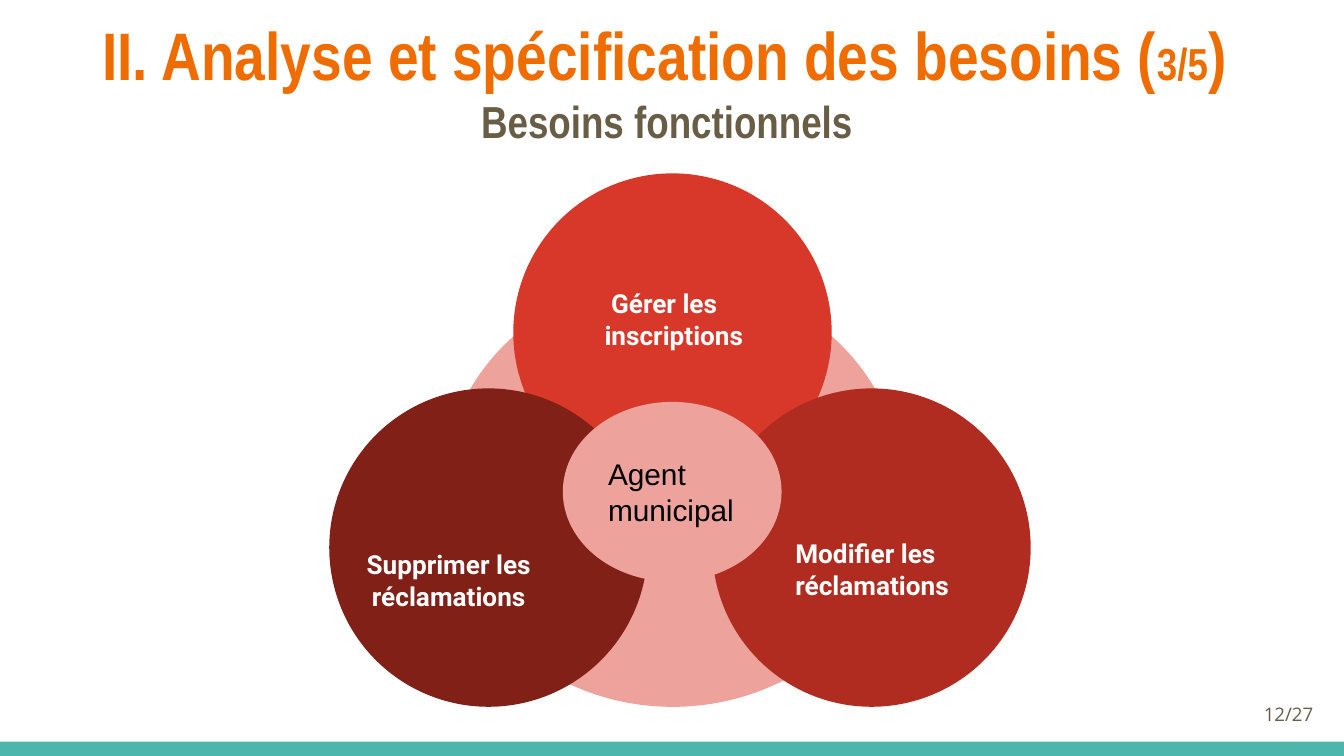
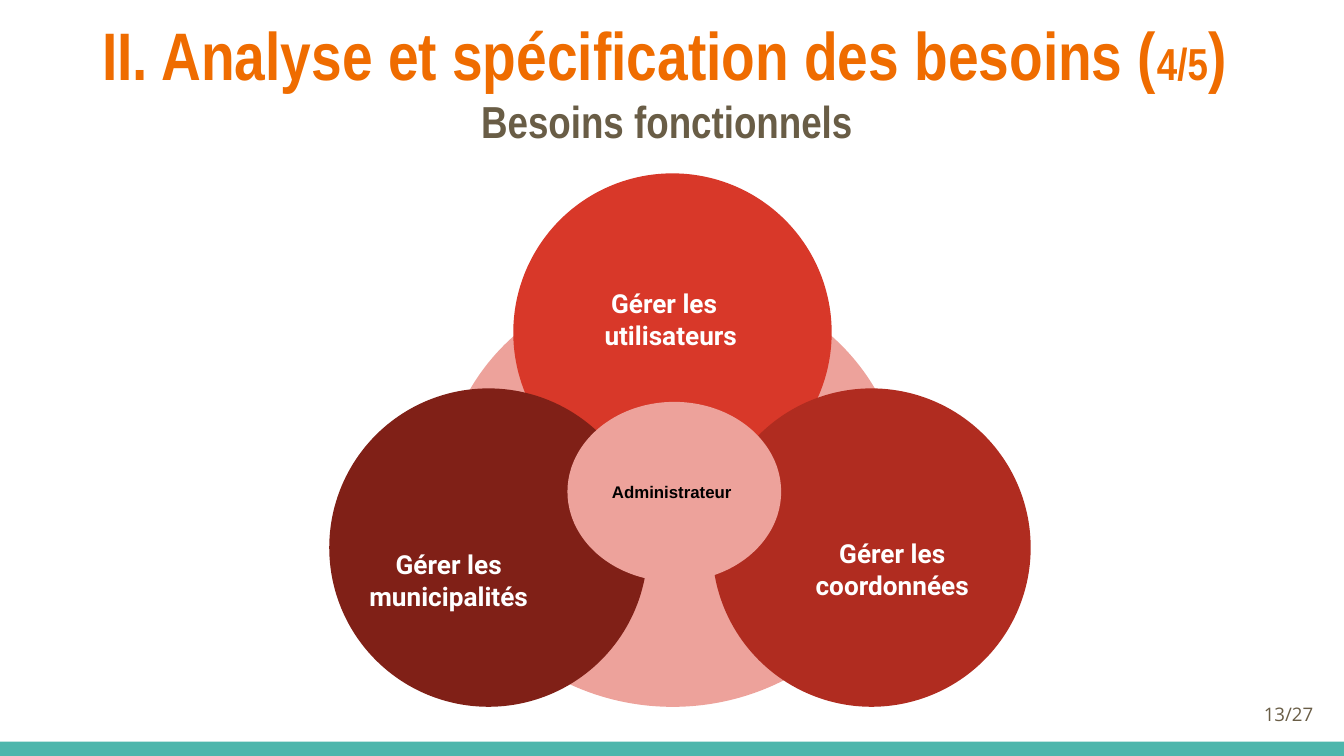
from pptx import Presentation
from pptx.dml.color import RGBColor
from pptx.enum.shapes import MSO_SHAPE
from pptx.enum.text import MSO_ANCHOR, MSO_AUTO_SIZE, PP_ALIGN
from pptx.util import Pt

ELLIPSE, RECTANGLE = MSO_SHAPE.OVAL, MSO_SHAPE.RECTANGLE
TOP, MIDDLE = MSO_ANCHOR.TOP, MSO_ANCHOR.MIDDLE
LEFT, CENTER, RIGHT = PP_ALIGN.LEFT, PP_ALIGN.CENTER, PP_ALIGN.RIGHT
NO_AUTOFIT = MSO_AUTO_SIZE.NONE

COLORS = {
    "orange": "EF6C00", "brown": "695D46", "teal": "4DB6AC",
    "pink": "EDA29B", "red": "D83829", "brick": "B02C20",
    "maroon": "802017", "white": "FFFFFF", "black": "000000",
}
WIDTH, HEIGHT = 720, 405
INSET = 7.2
DISC = 170.6
LABEL_SIZE = (118.1, 55.4)

# Disc corner, label corner and colour of each need
NEED_PLACES = [
    ((275, 92.9), (316.8, 143.3), "red"),
    ((381.6, 208.1), (419, 277.2), "brick"),
    ((176.4, 208.1), (181.4, 283), "maroon"),
]


def rgb(color):
    return RGBColor.from_string(COLORS[color])


class Deck:
    def __init__(self):
        self.prs = Presentation()
        self.prs.slide_width, self.prs.slide_height = Pt(WIDTH), Pt(HEIGHT)
        self.slide = None

    def new_slide(self):
        self.slide = self.prs.slides.add_slide(self.prs.slide_layouts[5])
        self.shape(RECTANGLE, (0, 397.4, WIDTH, HEIGHT - 397.4), "teal")

    def frame(self, shape, anchor):
        frame = shape.text_frame
        frame.word_wrap = True
        frame.auto_size = NO_AUTOFIT
        frame.vertical_anchor = anchor
        frame.margin_left = frame.margin_right = Pt(INSET)
        frame.margin_top = frame.margin_bottom = Pt(INSET)
        return frame

    def style(self, paragraph, font, color, align, size=None, bold=False):
        paragraph.alignment = align
        paragraph.font.name = font
        paragraph.font.bold = bold
        paragraph.font.color.rgb = rgb(color)
        if size:
            paragraph.font.size = Pt(size)

    def fill_in(self, shape, text, **style):
        """Put one styled paragraph in the middle of a shape."""
        paragraph = self.frame(shape, MIDDLE).paragraphs[0]
        paragraph.text = text
        self.style(paragraph, **style)

    def shape(self, preset, box, color, parent=None):
        shapes = (parent or self.slide).shapes
        shape = shapes.add_shape(preset, *map(Pt, box))
        shape.shadow.inherit = False
        shape.fill.solid()
        shape.fill.fore_color.rgb = rgb(color)
        shape.line.fill.background()
        return shape

    def text(self, box, text, parent=None, **style):
        shapes = (parent or self.slide).shapes
        self.fill_in(shapes.add_textbox(*map(Pt, box)), text, **style)

    def title(self, part):
        title = self.slide.shapes.title
        title.left, title.top = Pt(24.5), Pt(0)
        title.width, title.height = Pt(671), Pt(72.7)
        frame = self.frame(title, TOP)
        heading, subtitle = frame.paragraphs[0], frame.add_paragraph()
        for text, size in (("II. Analyse et spécification des besoins (", 36),
                           (part, 24), (") ", 36)):
            run = heading.add_run()
            run.text, run.font.size = text, Pt(size)
        self.style(heading, "Arial Narrow", "orange", CENTER, bold=True)
        subtitle.text = "Besoins fonctionnels "
        self.style(subtitle, "Arial Narrow", "brown", CENTER, 24, True)

    def need(self, place, text, align):
        """Draw one coloured disc grouped with its label."""
        disc_corner, label_corner, color = place
        group = self.slide.shapes.add_group_shape()
        self.shape(ELLIPSE, (*disc_corner, DISC, DISC), color, group)
        self.text((*label_corner, *LABEL_SIZE), text, group, font="Roboto",
                  color="white", align=align, size=14, bold=True)

    def actor(self, text, left, width, size, bold):
        hub = self.shape(ELLIPSE, (left, 215.3, width, 96.3), "pink")
        self.fill_in(hub, text, font="Arial", color="black", align=LEFT,
                     size=size, bold=bold)

    def page_number(self, number):
        self.text((667.4, 367.2, 43.2, 31), f"{number}/27", font="Open Sans",
                  color="brown", align=RIGHT, size=10)

    def needs_slide(self, part, number, needs, actor):
        self.new_slide()
        self.title(part)
        self.shape(ELLIPSE, (236.9, 148.3, 247, 230.4), "pink")
        for place, (text, align) in zip(NEED_PLACES, needs):
            self.need(place, text, align)
        self.actor(**actor)
        self.page_number(number)


def main():
    deck = Deck()
    deck.needs_slide(
        "3/5", 12,
        [(" Gérer les inscriptions", LEFT),
         ("Modifier les réclamations", LEFT),
         ("Supprimer les réclamations", CENTER)],
        {"text": "Agent municipal", "left": 301.5, "width": 117.2,
         "size": 16, "bold": False})
    deck.needs_slide(
        "4/5", 13,
        [(" Gérer les utilisateurs", LEFT),
         ("Gérer les coordonnées", CENTER),
         ("Gérer les municipalités", CENTER)],
        {"text": "Administrateur", "left": 304, "width": 114.5,
         "size": 9, "bold": True})
    deck.prs.save("out.pptx")


if __name__ == "__main__":
    main()
